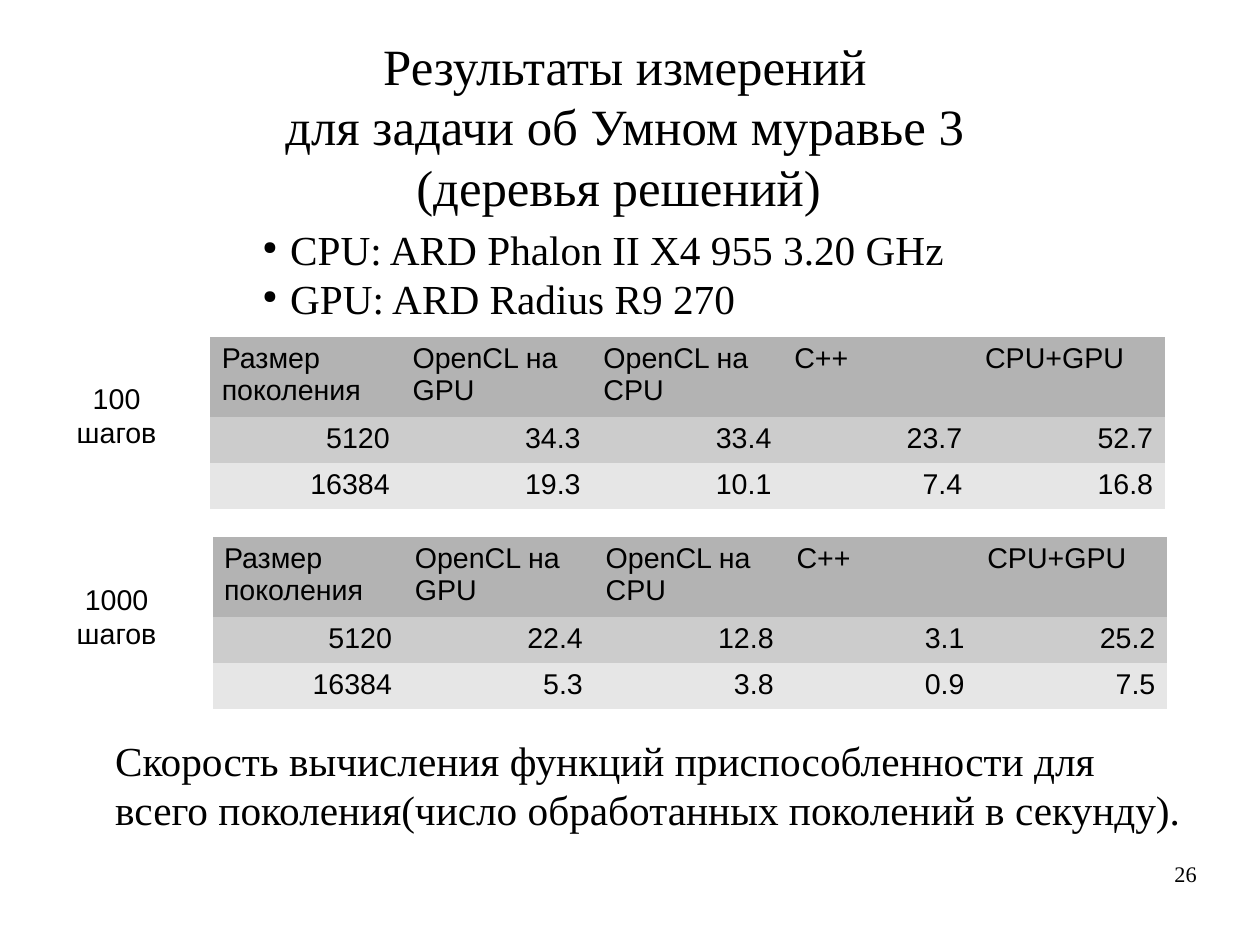
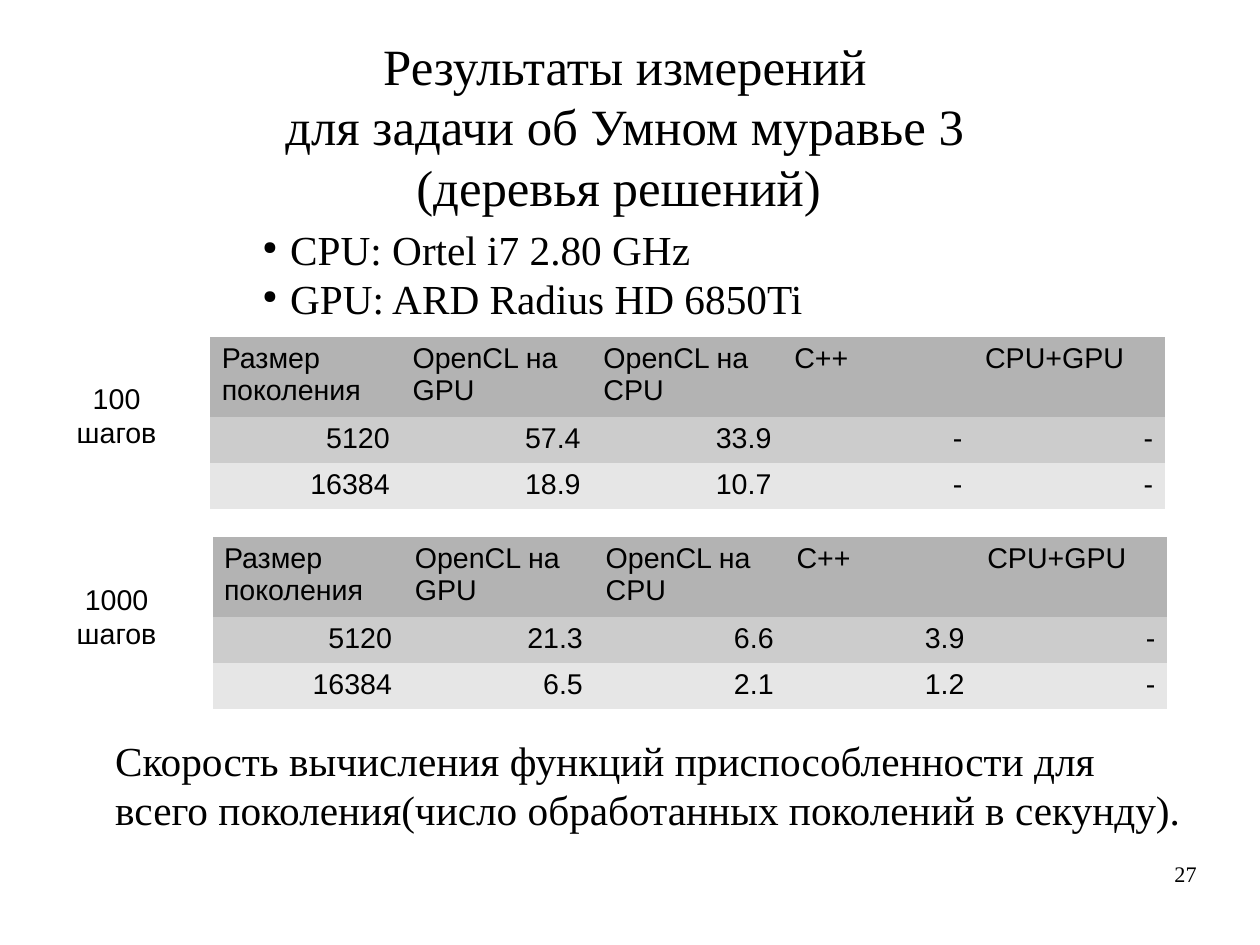
import pptx
import pptx.dml.color
import pptx.enum.text
import pptx.oxml
import pptx.oxml.ns
import pptx.util

Inches = pptx.util.Inches
Pt = pptx.util.Pt
ALIGN = pptx.enum.text.PP_ALIGN

# Shared style; the page is 28 by 21 cm
PAGE_WIDTH, PAGE_HEIGHT = Inches(28 / 2.54), Inches(21 / 2.54)
COLORS = {
    "text": "000000",
    "background": "FFFFFF",
    "header": "B3B3B3",
    "odd_row": "CCCCCC",
    "even_row": "E6E6E6",
}
SERIF, SANS = "Times New Roman", "Arial"
NO_TABLE_STYLE = "{2D5ABB26-0587-4C30-8999-92F81FD0307C}"
COLUMN_WIDTH = 1.67
ROW_HEIGHTS = (0.7, 0.4, 0.4)

# Shared wording
TITLE = ("Результаты измерений", "для задачи об Умном муравье 3", "(деревья решений) ")
CONCLUSION = (
    "Скорость вычисления функций приспособленности для",
    "всего поколения(число обработанных поколений в секунду).",
)
TABLE_HEADER = ("Размер поколения", "OpenCL на GPU", "OpenCL на СPU", "C++", "CPU+GPU")

# Step label, label top, table left, table top
STEP_BLOCKS = (
    ("100 шагов", 3.28, 1.84, 2.95),
    ("1000 шагов", 5.04, 1.86, 4.7),
)

# What differs between the slides
SLIDES = (
    {
        "number": "26",
        "hardware": ("CPU: ARD Phalon II X4 955 3.20 GHz", "GPU: ARD Radius R9 270"),
        "speeds": (
            (("5120", "34.3", "33.4", "23.7", "52.7"),
             ("16384", "19.3", "10.1", "7.4", "16.8")),
            (("5120", "22.4", "12.8", "3.1", "25.2"),
             ("16384", "5.3", "3.8", "0.9", "7.5")),
        ),
    },
    {
        "number": "27",
        "hardware": ("CPU: Ortel i7 2.80 GHz", "GPU: ARD Radius HD 6850Ti"),
        "speeds": (
            (("5120", "57.4", "33.9", "-", "-"),
             ("16384", "18.9", "10.7", "-", "-")),
            (("5120", "21.3", "6.6", "3.9", "-"),
             ("16384", "6.5", "2.1", "1.2", "-")),
        ),
    },
)


def rgb(name):
    return pptx.dml.color.RGBColor.from_string(COLORS[name])


def style_paragraph(paragraph, size, font, align):
    paragraph.alignment = align
    paragraph.font.size = Pt(size)
    paragraph.font.name = font
    paragraph.font.color.rgb = rgb("text")


def set_margins(target, horizontal=0.1, vertical=0.05):
    target.margin_left = target.margin_right = Inches(horizontal)
    target.margin_top = target.margin_bottom = Inches(vertical)


def add_text(slide, lines, box, size, font=SERIF, align=ALIGN.LEFT, margins=(0.1, 0.05)):
    frame = slide.shapes.add_textbox(*map(Inches, box)).text_frame
    frame.word_wrap = True
    set_margins(frame, *margins)
    frame.text = "\n".join(lines)
    for paragraph in frame.paragraphs:
        style_paragraph(paragraph, size, font, align)
    return frame


def add_bullets(frame):
    namespace = pptx.oxml.ns.nsdecls("a")
    for paragraph in frame.paragraphs:
        properties = paragraph._p.get_or_add_pPr()
        properties.set("marL", str(Inches(0.24)))
        properties.set("indent", str(-Inches(0.24)))
        for bullet in (
            f'<a:buClr {namespace}><a:srgbClr val="{COLORS["text"]}"/></a:buClr>',
            f'<a:buSzPct {namespace} val="45000"/>',
            f'<a:buChar {namespace} char="●"/>',
        ):
            # Bullet settings precede the default run properties
            properties.find(pptx.oxml.ns.qn("a:defRPr")).addprevious(
                pptx.oxml.parse_xml(bullet))


def add_speed_table(slide, left, top, speeds):
    rows = (TABLE_HEADER, *speeds)
    width = COLUMN_WIDTH * len(TABLE_HEADER)
    speed_frame = slide.shapes.add_table(
        len(rows), len(TABLE_HEADER),
        *map(Inches, (left, top, width, sum(ROW_HEIGHTS))))
    for style_id in speed_frame._element.iter(pptx.oxml.ns.qn("a:tableStyleId")):
        style_id.text = NO_TABLE_STYLE
    table = speed_frame.table
    table.first_row = table.horz_banding = False
    for column in table.columns:
        column.width = Inches(COLUMN_WIDTH)
    fills = ("header", "odd_row", "even_row")
    for row, height, fill, values in zip(table.rows, ROW_HEIGHTS, fills, rows):
        row.height = Inches(height)
        align = ALIGN.LEFT if fill == "header" else ALIGN.RIGHT
        for cell, value in zip(row.cells, values):
            cell.text = value
            set_margins(cell)
            cell.fill.solid()
            cell.fill.fore_color.rgb = rgb(fill)
            style_paragraph(cell.text_frame.paragraphs[0], 18, SANS, align)


def add_results_slide(presentation, content):
    slide = presentation.slides.add_slide(presentation.slide_layouts[6])
    slide.background.fill.solid()
    slide.background.fill.fore_color.rgb = rgb("background")

    # Title and hardware
    add_text(slide, TITLE, (2.39, 0.25, 6.16, 1.58), 32, align=ALIGN.CENTER)
    add_bullets(add_text(slide, content["hardware"], (2.2, 1.91, 6.52, 1.32), 26))

    # Speeds for each number of steps
    for (label, label_top, left, top), speeds in zip(STEP_BLOCKS, content["speeds"]):
        add_text(slide, [label], (0.47, label_top, 1.1, 0.66), 18, SANS, ALIGN.CENTER)
        add_speed_table(slide, left, top, speeds)

    # Conclusion and slide number
    add_text(slide, CONCLUSION, (0.91, 6.38, 9.6, 1.18), 26)
    add_text(slide, [content["number"]], (7.9, 7.53, 2.57, 0.57), 14,
             align=ALIGN.RIGHT, margins=(0, 0))


def main():
    presentation = pptx.Presentation()
    presentation.slide_width = PAGE_WIDTH
    presentation.slide_height = PAGE_HEIGHT
    for content in SLIDES:
        add_results_slide(presentation, content)
    presentation.save("out.pptx")


if __name__ == "__main__":
    main()
